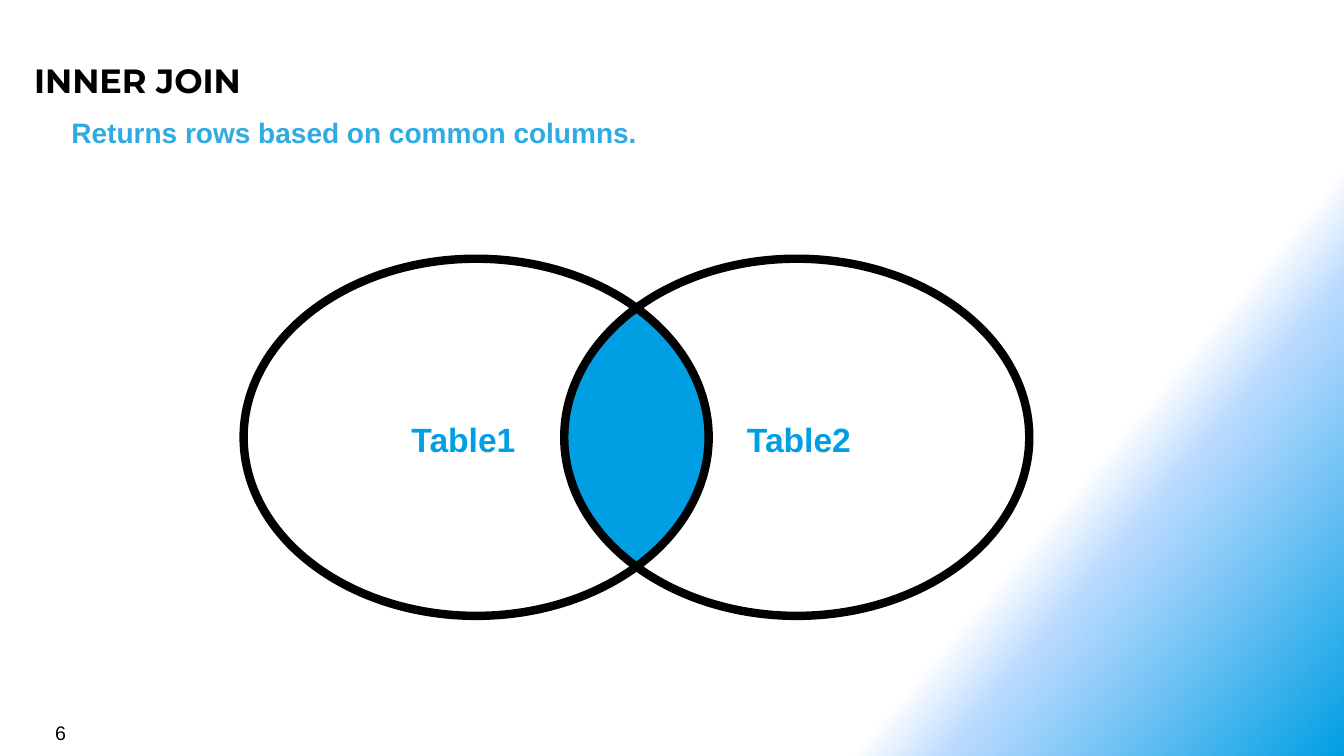
import math
from dataclasses import dataclass

from lxml import etree
from pptx import Presentation, util as u
from pptx.dml.color import RGBColor
from pptx.enum import shapes, text
from pptx.oxml.ns import qn

TITLE = ("INNER JOIN", (0.66, 1.3, 31.14, 1.4))
SUBTITLE = ("Returns rows based on common columns.", (1.6, 2.72, 30.84, 1.27))
PAGE_NUMBER = ("6", (1.14, 17.96, 7.9, 0.84))
TABLES = [  # label, label box, ellipse centre x
    ("Table1", (9.75, 10.36, 3.86, 1.27), 12.0),
    ("Table2", (18.19, 10.36, 3.89, 1.27), 20.08),
]
CENTRE_Y, RADIUS_X, RADIUS_Y = 11.02, 5.86, 4.5
ARC_STEPS = 24
BACKGROUND_STOPS = [(75, "FFFFFF"), (80, "B9DAFF"), (100, "009FE3")]
BACKGROUND_ANGLE = 40


@dataclass(frozen=True)
class Theme:
    ink: str = "000000"
    blue: str = "009FE3"
    subtitle_blue: str = "2EABE2"
    heading_font: str = "Montserrat"
    body_font: str = "Arial"
    heading_size: int = 24
    subtitle_size: int = 20
    label_size: int = 24
    number_size: int = 14
    outline: int = 6


THEME = Theme()


def cm(values):
    return [u.Cm(value) for value in values]


def write(shape, words, size, color, font=THEME.body_font, bold=True,
          align=text.PP_ALIGN.LEFT, inset=0.2):
    frame = shape.text_frame
    frame.text = words
    frame.word_wrap = True
    frame.auto_size = text.MSO_AUTO_SIZE.NONE
    frame.vertical_anchor = text.MSO_ANCHOR.TOP
    frame.margin_left = frame.margin_right = u.Cm(inset)
    frame.margin_top = frame.margin_bottom = u.Cm(min(inset, 0.2))
    paragraph = frame.paragraphs[0]
    paragraph.alignment = align
    paragraph.space_before = u.Pt(0)
    paragraph.font.name = font
    paragraph.font.size = u.Pt(size)
    paragraph.font.bold = bold
    paragraph.font.color.rgb = RGBColor.from_string(color)
    return paragraph


def place(shape, box):
    shape.left, shape.top, shape.width, shape.height = cm(box)


def paint_background(slide):
    fill = slide.background.fill
    fill.gradient()
    gradient = slide.background._cSld.find(".//" + qn("a:gradFill"))
    stops = gradient.find(qn("a:gsLst"))
    for stop in list(stops):
        stops.remove(stop)
    for position, color in BACKGROUND_STOPS:
        stop = etree.SubElement(stops, qn("a:gs"), pos=str(position * 1000))
        etree.SubElement(stop, qn("a:srgbClr"), val=color)
    direction = gradient.find(qn("a:lin"))
    direction.set("ang", str(BACKGROUND_ANGLE * 60000))
    direction.set("scaled", "0")


def lens_points():
    """Outline of the overlap: an arc of each ellipse between the crossings."""
    left_x, right_x = (centre for _, _, centre in TABLES)
    reach = math.acos((right_x - left_x) / 2 / RADIUS_X)
    angles = [reach * (2 * step / ARC_STEPS - 1) for step in range(ARC_STEPS)]
    return [
        (u.Cm(centre + side * RADIUS_X * math.cos(angle)),
         u.Cm(CENTRE_Y + side * RADIUS_Y * math.sin(angle)))
        for centre, side in ((left_x, 1), (right_x, -1)) for angle in angles
    ]


def draw_venn(slide):
    venn = slide.shapes.add_group_shape().shapes
    points = lens_points()
    builder = venn.build_freeform(*points[0])
    builder.add_line_segments(points[1:], close=True)
    lens = builder.convert_to_shape()
    lens.shadow.inherit = False
    lens.fill.solid()
    lens.fill.fore_color.rgb = RGBColor.from_string(THEME.blue)
    lens.line.fill.background()

    for name, label_box, centre_x in TABLES:
        ellipse = venn.add_shape(shapes.MSO_SHAPE.OVAL, *cm(
            (centre_x - RADIUS_X, CENTRE_Y - RADIUS_Y, 2 * RADIUS_X, 2 * RADIUS_Y)))
        ellipse.shadow.inherit = False
        ellipse.fill.background()
        ellipse.line.color.rgb = RGBColor.from_string(THEME.ink)
        ellipse.line.width = u.Pt(THEME.outline)
        label = venn.add_textbox(*cm(label_box))
        write(label, name, THEME.label_size, THEME.blue,
              align=text.PP_ALIGN.CENTER, inset=0.25)


def main():
    presentation = Presentation()
    presentation.slide_width, presentation.slide_height = cm((33.87, 19.05))
    slide = presentation.slides.add_slide(presentation.slide_layouts[1])
    paint_background(slide)

    title, subtitle = slide.placeholders
    place(title, TITLE[1])
    write(title, TITLE[0], THEME.heading_size, THEME.ink, THEME.heading_font)
    place(subtitle, SUBTITLE[1])
    paragraph = write(subtitle, SUBTITLE[0], THEME.subtitle_size, THEME.subtitle_blue)
    properties = paragraph._p.get_or_add_pPr()
    properties.set("marL", "0")
    properties.set("indent", "0")
    etree.SubElement(properties, qn("a:buNone"))
    # Bullet settings come before the default run properties.
    properties.append(properties.find(qn("a:defRPr")))

    draw_venn(slide)
    number = slide.shapes.add_textbox(*cm(PAGE_NUMBER[1]))
    write(number, PAGE_NUMBER[0], THEME.number_size, THEME.ink, bold=False, inset=0.25)
    presentation.save("out.pptx")


if __name__ == "__main__":
    main()
